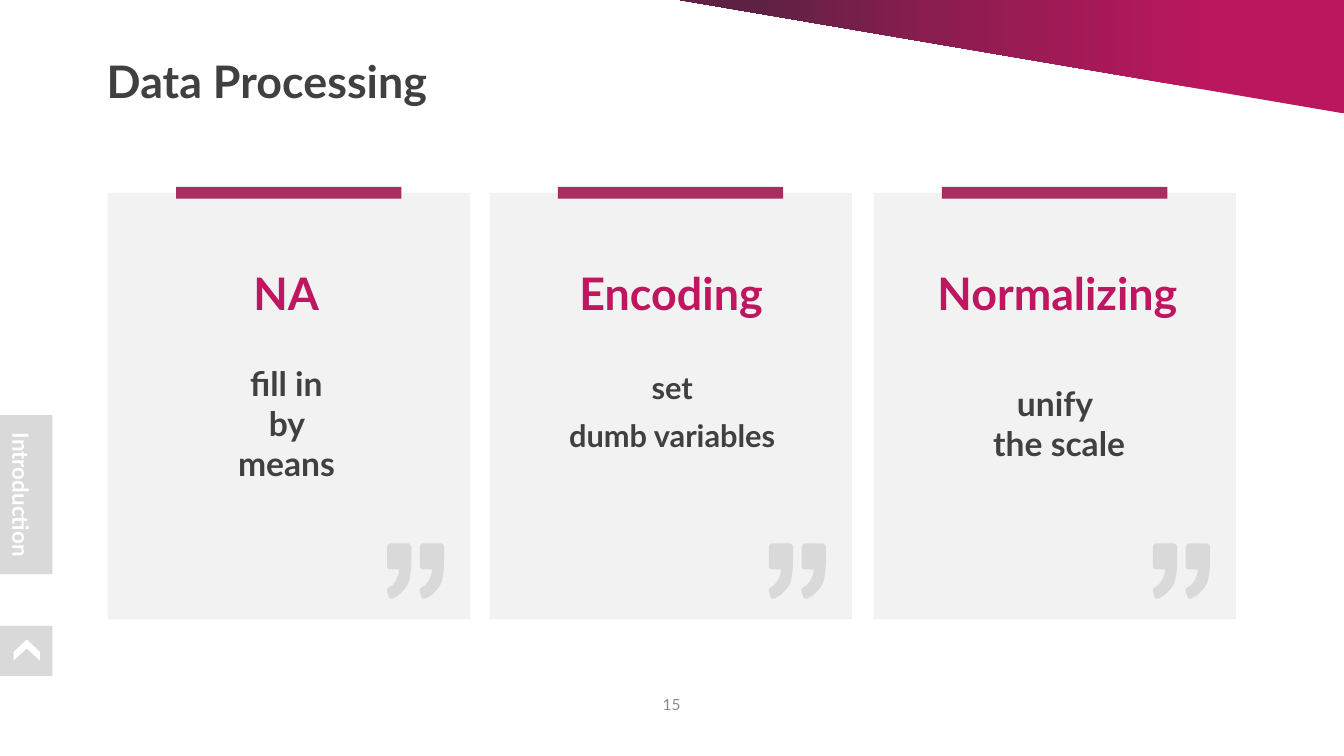
import lxml.etree
import pptx
import pptx.dml.color
import pptx.enum.shapes
import pptx.enum.text
import pptx.oxml
import pptx.util

Cm = pptx.util.Cm
qn = pptx.oxml.ns.qn
SHAPE = pptx.enum.shapes.MSO_SHAPE
ANCHOR = pptx.enum.text.MSO_ANCHOR
ALIGN = pptx.enum.text.PP_ALIGN
GREY, DARK, WHITE = "D9D9D9", "404040", "FFFFFF"


def paint(sp, color):
    sp.shadow.inherit = False
    sp.fill.solid()
    sp.fill.fore_color.rgb = pptx.dml.color.RGBColor.from_string(color)
    sp.line.fill.background()
    return sp


def write(sp, lines, size, color, bold=True, align=ALIGN.CENTER,
          anchor=ANCHOR.MIDDLE, spacing=None):
    tf = sp.text_frame
    tf.word_wrap = True
    tf.vertical_anchor = anchor
    for i, line in enumerate(lines):
        p = tf.paragraphs[0] if i == 0 else tf.add_paragraph()
        p.alignment = align
        p.line_spacing = spacing
        r = p.add_run()
        r.text = line
        r.font.name = "Lato"
        r.font.size = pptx.util.Pt(size)
        r.font.bold = bold
        r.font.color.rgb = pptx.dml.color.RGBColor.from_string(color)


prs = pptx.Presentation()
prs.slide_width, prs.slide_height = Cm(33.87), Cm(19.05)
s = prs.slides.add_slide(prs.slide_layouts[6])

# Corner wedge with a three-stop gradient
wedge = paint(s.shapes.add_shape(SHAPE.RIGHT_TRIANGLE, Cm(17.13), 0, Cm(16.74), Cm(2.86)), "BA175E")
wedge_pr = wedge.element.spPr
wedge_pr.xfrm.set("flipH", "1")
wedge_pr.xfrm.set("flipV", "1")
stops = "".join(
    f'<a:gs pos="{pos}000"><a:srgbClr val="{color}"/></a:gs>'
    for pos, color in ((20, "BA175E"), (62, "8A1D50"), (88, "5E2144")))
gradient = pptx.oxml.parse_xml(
    '<a:gradFill xmlns:a="http://schemas.openxmlformats.org/drawingml/2006/main" rotWithShape="1">'
    f'<a:gsLst>{stops}</a:gsLst><a:lin ang="0" scaled="0"/></a:gradFill>')
wedge_pr.replace(wedge_pr.find(qn("a:solidFill")), gradient)

# Footer band
paint(s.shapes.add_shape(SHAPE.RECTANGLE, 0, Cm(17.32), Cm(33.87), Cm(1.73)), WHITE)

# Title
title = s.shapes.add_textbox(Cm(2.44), 0, Cm(29.57), Cm(2.85))
write(title, ["Data Processing"], 32, DARK, align=ALIGN.LEFT, anchor=ANCHOR.BOTTOM, spacing=0.9)

# Side tab and up button
tab = paint(s.shapes.add_shape(SHAPE.RECTANGLE, 0, Cm(10.46), Cm(1.32), Cm(4.01)), GREY)
write(tab, ["Introduction"], 16, WHITE, spacing=0.9)
tab.text_frame._txBody.bodyPr.set("vert", "vert")
tab.text_frame.margin_right = Cm(0.45)
paint(s.shapes.add_shape(SHAPE.RECTANGLE, 0, Cm(15.77), Cm(1.32), Cm(1.27)), GREY)
arrow = paint(s.shapes.add_shape(SHAPE.CHEVRON, Cm(0.41), Cm(16.05), Cm(0.53), Cm(0.66)), WHITE)
arrow.adjustments[0] = 0.58
arrow.rotation = 270

# Page number
number = s.shapes.add_textbox(Cm(16.15), Cm(17.45), Cm(1.55), Cm(0.58))
write(number, ["15"], 11, "8C8C8C", bold=False)

# Outline of one closing quote mark, in hundredths of an inch:
# one point is a straight line, three points are a Bezier curve
QUOTE_UNIT = Cm(0.0254)
QUOTE_START = (4, 55)
QUOTE_SEGMENTS = [
    [(4, 55), (3, 54), (3, 54)], [(1, 48)],
    [(0, 47), (1, 45), (2, 44)], [(5, 43), (8, 41), (9, 38)],
    [(11, 35), (13, 31), (13, 26)], [(4, 26)],
    [(3, 26), (1, 25), (1, 23)], [(1, 3)],
    [(1, 2), (3, 0), (4, 0)], [(22, 0)],
    [(23, 0), (25, 2), (25, 3)], [(25, 19)],
    [(25, 26), (24, 32), (23, 37)], [(22, 41), (19, 45), (16, 48)],
    [(14, 51), (10, 53), (6, 55)], [(6, 55), (5, 55), (4, 55)],
]
quote_points = [QUOTE_START] + [point for segment in QUOTE_SEGMENTS for point in segment]
first, second = [[((x + shift) * QUOTE_UNIT, y * QUOTE_UNIT) for x, y in quote_points]
                 for shift in (0, 32.5)]

# Cards: left, heading (text, left, width), body (lines, left, top, width, size, spacing)
cards = [
    (2.72, ("NA", 4.93, 4.57),
     (["fill in by means"], 5.63, 9.01, 3.18, 24, None)),
    (12.34, ("Encoding", 13.74, 6.35),
     (["set", "dumb variables"], 12.62, 8.57, 8.64, 22, 1.3)),
    (22.02, ("Normalizing ", 23.27, 7.04),
     (["unify", " the scale"], 22.27, 9.01, 8.64, 24, None)),
]
for left, (heading, head_left, head_width), body in cards:
    card = s.shapes.add_group_shape().shapes
    paint(card.add_shape(SHAPE.RECTANGLE, Cm(left), Cm(4.86), Cm(9.13), Cm(10.74)), "F2F2F2")
    paint(card.add_shape(SHAPE.RECTANGLE, Cm(left + 1.72), Cm(4.71), Cm(5.68), Cm(0.3)), "A92D61")

    sp = card.add_textbox(Cm(head_left), Cm(6.56), Cm(head_width), Cm(1.63))
    write(sp, [heading], 32, "BE165F", anchor=ANCHOR.TOP)

    # Quote marks: each three-point segment becomes one curve
    builder = card.build_freeform(*first[0])
    builder.add_line_segments(first[1:])
    builder.move_to(*second[0])
    builder.add_line_segments(second[1:])
    quote = paint(builder.convert_to_shape(Cm(left + 7.01), Cm(13.69)), GREY)
    steps = iter(list(quote.element.iter(qn("a:lnTo"))))
    for segment in QUOTE_SEGMENTS * 2:
        curve = next(steps)
        if len(segment) == 3:
            curve.tag = qn("a:cubicBezTo")
            for extra in (next(steps), next(steps)):
                curve.append(extra[0])
                extra.getparent().remove(extra)

    lines, body_left, body_top, body_width, size, spacing = body
    sp = card.add_textbox(Cm(body_left), Cm(body_top), Cm(body_width), Cm(3.3))
    write(sp, lines, size, DARK, spacing=spacing)

prs.save("out.pptx")
